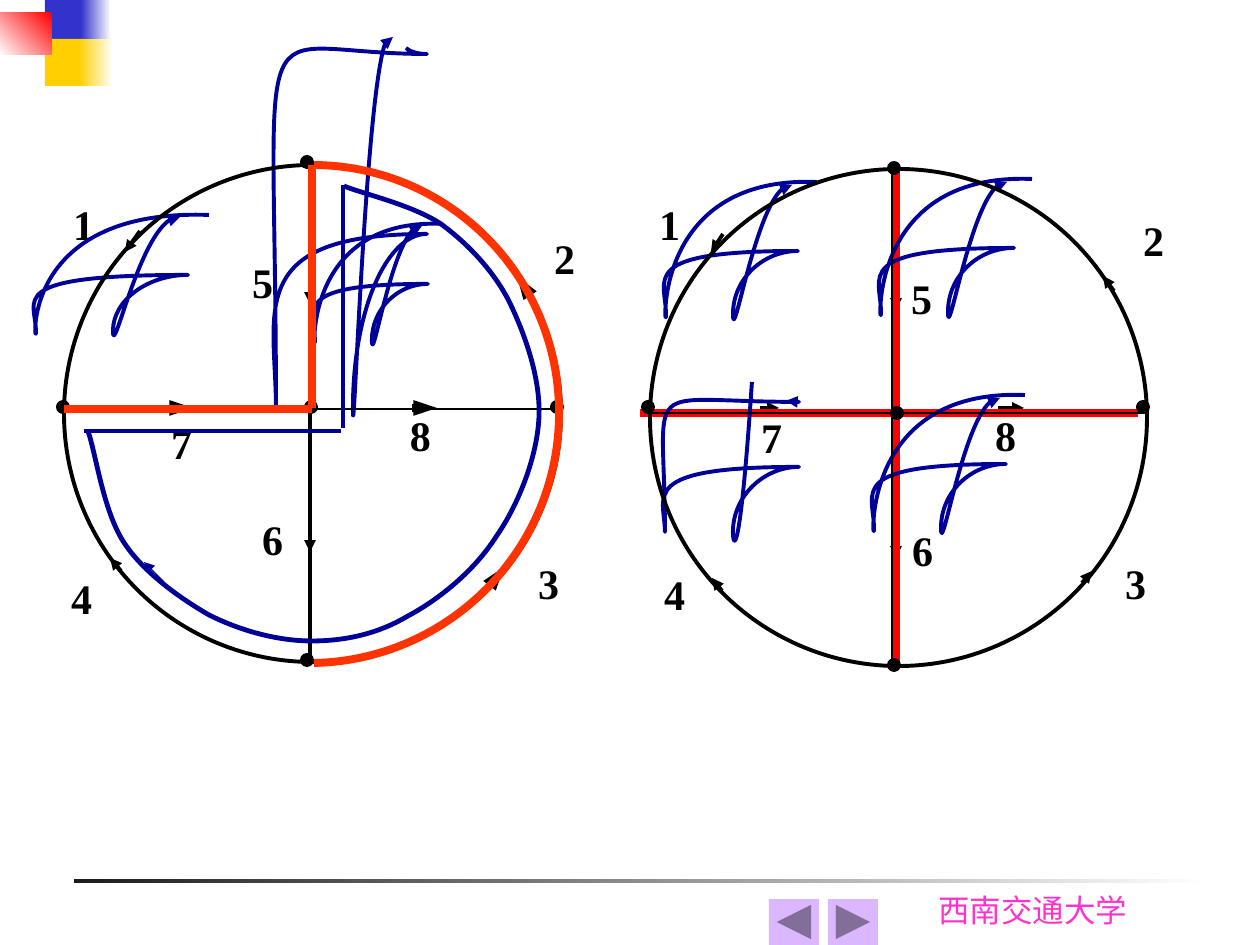
from lxml import etree
from pptx import Presentation
from pptx import util as u
from pptx.dml.color import RGBColor
from pptx.enum import shapes, text
from pptx.oxml import ns

PX = 914400 / 126
color = RGBColor.from_string
BLACK, NAVY, RED, ORANGE = "000000", "000099", "FF0000", "FF3300"

presentation = Presentation()
presentation.slide_width = round(1260 * PX)
presentation.slide_height = round(945 * PX)
slide = presentation.slides.add_slide(presentation.slide_layouts[6])


def emu(*lengths):
    return [round(length * PX) for length in lengths]


def draw(points, line_color, width, arrow=None, arrow_width="med"):
    """Two points give a straight line, more give a chain of Bezier curves."""
    if len(points) == 2:
        shape = slide.shapes.add_connector(
            shapes.MSO_CONNECTOR.STRAIGHT, *emu(*points[0], *points[1]))
    else:
        builder = slide.shapes.build_freeform(*points[0], scale=PX)
        builder.add_line_segments(points[1:], close=False)
        shape = builder.convert_to_shape()
        shape.fill.background()
        # Every three segments become one curve
        segments = list(shape._element.iter(ns.qn("a:lnTo")))
        for i in range(0, len(segments), 3):
            curve = etree.Element(ns.qn("a:cubicBezTo"))
            segments[i].addprevious(curve)
            for segment in segments[i:i + 3]:
                curve.append(segment[0])
                segment.getparent().remove(segment)
    shape.line.color.rgb = color(line_color)
    shape.line.width = u.Pt(width)
    properties = shape._element.spPr
    if arrow:
        etree.SubElement(properties.find(ns.qn("a:ln")), ns.qn(f"a:{arrow}"),
                         type="triangle", w=arrow_width, len="med")
    etree.SubElement(properties, ns.qn("a:effectLst"))


# Corner squares and footer rule: box, start colour, end colour, angle
for box, start, end, angle in [
    ((74, 879, 1134, 4), "1C1C1C", "FFFFFF", 0),
    ((45, 0, 40, 47), "3333CC", None, 0),
    ((81, 0, 30, 47), "3333CC", "FFFFFF", 0),
    ((45, 39, 39, 47), "FFCF01", None, 0),
    ((79, 39, 34, 47), "FFCF01", "FFFFFF", 0),
    ((0, 13, 52, 42), "FFFFFF", "FF0000", 45),
]:
    shape = slide.shapes.add_shape(shapes.MSO_SHAPE.RECTANGLE, *emu(*box))
    shape.shadow.inherit = False
    shape.line.fill.background()
    if end:
        shape.fill.gradient()
        shape.fill.gradient_angle = angle
        for stop, stop_color in zip(shape.fill.gradient_stops, (start, end)):
            stop.color.rgb = color(stop_color)
    else:
        shape.fill.solid()
        shape.fill.fore_color.rgb = color(start)

# Footer name
footer = slide.shapes.add_textbox(*emu(926, 885, 228, 50))
footer.text_frame.word_wrap = True
paragraph = footer.text_frame.paragraphs[0]
paragraph.text = "西南交通大学"
paragraph.font.size = u.Pt(18)
paragraph.font.name = "Karla"
paragraph.font.color.rgb = color("FF33CC")

# Loop hook as fractions of its box, placed once per mesh
HOOK = [(0.45, -0.52), (0.2, -0.54), (0, 0.76), (0, 0.5),
        (0, 0.22), (0.23, 0), (0.5, 0),
        (-0.74, 0), (-0.51, 0.22), (-0.51, 0.5),
        (-0.51, 0.73), (-0.66, -0.6), (0.64, -0.54)]
TALL_HOOK = [(393, 37), (368, 6), (353, 474), (353, 408),
             (353, 312), (386, 234), (427, 234),
             (242, 234), (276, 312), (276, 408),
             (276, -23), (242, 54), (427, 54),
             (420, 54), (412, 53), (406, 48)]
LOW_HOOK = [(752, 382), (740, 563), (733, 548), (733, 532),
            (733, 496), (764, 467), (799, 467),
            (636, 467), (665, 496), (665, 532),
            (665, 373), (636, 402), (799, 402),
            (795, 402), (790, 401), (786, 401)]

# Both graphs; labels and arrows run from branch 1 to 8
graphs = [
    dict(circle=(64, 165),
         labels=[(44, 197), (525, 231), (509, 556), (42, 571),
                 (223, 255), (233, 512), (142, 416), (381, 408)],
         arrows=[(140, 231, 125, 252, 2.25), (527, 291, 517, 276, 4.5),
                 (494, 580, 504, 567, 4.5), (121, 571, 110, 558, 2.25),
                 (310, 297, 310, 304, 2.25), (310, 529, 310, 552, 2.25),
                 (174, 408, 193, 408, 4.5), (412, 408, 437, 408, 4.5)],
         tree=[],
         hooks=[(372, 284, 111, 112), (113, 275, 150, 112)],
         odd_hook=(TALL_HOOK, "headEnd"),
         axes=[(310, 165, 310, 662, 2.25), (63, 409, 561, 409, 1.5)],
         dots=[(302, 157), (552, 402), (302, 655), (58, 402), (306, 402)]),
    dict(circle=(650, 169),
         labels=[(630, 197), (1114, 213), (1096, 556), (635, 567),
                 (882, 271), (883, 523), (732, 410), (966, 408)],
         arrows=[(723, 234, 711, 252, 2.25), (1114, 291, 1103, 276, 2.25),
                 (1082, 583, 1092, 571, 2.25), (722, 591, 712, 578, 2.25),
                 (896, 304, 896, 310, 2.25), (896, 534, 896, 558, 2.25),
                 (760, 408, 779, 408, 2.25), (998, 408, 1024, 408, 2.25)],
         tree=[(640, 413, 1138, 413), (896, 168, 896, 665)],
         hooks=[(941, 464, 131, 127), (948, 248, 131, 127),
                (733, 251, 131, 127)],
         odd_hook=(LOW_HOOK, "tailEnd"),
         axes=[(650, 413, 1147, 413, 1.5), (892, 170, 892, 668, 1.5)],
         dots=[(889, 163), (1138, 402), (889, 660), (643, 402), (892, 408)]),
]

for graph in graphs:
    # Branch numbers
    for number, corner in enumerate(graph["labels"], 1):
        label = slide.shapes.add_textbox(*emu(*corner, 79, 74))
        frame = label.text_frame
        frame.word_wrap = True
        frame.margin_left = frame.margin_right = u.Inches(0.01)
        frame.margin_top = frame.margin_bottom = u.Inches(0.01)
        paragraph = frame.paragraphs[0]
        paragraph.text = str(number)
        paragraph.alignment = text.PP_ALIGN.CENTER
        paragraph.font.size = u.Pt(24)
        paragraph.font.bold = True
        paragraph.font.name = "Times New Roman"
        paragraph.font.color.rgb = color(BLACK)

    # Branch directions and tree branches
    for x1, y1, x2, y2, width in graph["arrows"]:
        draw([(x1, y1), (x2, y2)], BLACK, width, "tailEnd",
             "sm" if width > 4 else "med")
    for x1, y1, x2, y2 in graph["tree"]:
        draw([(x1, y1), (x2, y2)], RED, 4.5)

    # Mesh hooks
    draw(graph["odd_hook"][0], NAVY, 2.25, graph["odd_hook"][1])
    for left, top, width, height in graph["hooks"]:
        draw([(round(left + x * width), round(top + y * height))
              for x, y in HOOK], NAVY, 2.25, "headEnd")

    # Axes, circle and nodes
    for x1, y1, x2, y2, width in graph["axes"]:
        draw([(x1, y1), (x2, y2)], BLACK, width)
    ovals = [(graph["circle"], 497)] + [(dot, 10) for dot in graph["dots"]]
    for corner, size in ovals:
        oval = slide.shapes.add_shape(
            shapes.MSO_SHAPE.OVAL, *emu(*corner, size, size))
        oval.shadow.inherit = False
        oval.line.color.rgb = color(BLACK)
        oval.line.width = u.Pt(2.25)
        if size == 10:
            oval.fill.solid()
            oval.fill.fore_color.rgb = color(BLACK)
        else:
            oval.fill.background()

# Back and forward buttons
for left, kind in [
    (769, shapes.MSO_SHAPE.ACTION_BUTTON_BACK_OR_PREVIOUS),
    (828, shapes.MSO_SHAPE.ACTION_BUTTON_FORWARD_OR_NEXT),
]:
    button = slide.shapes.add_shape(kind, *emu(left, 899, 50, 46))
    button.shadow.inherit = False
    button.fill.solid()
    button.fill.fore_color.rgb = color("DBB7FF")
    button.line.fill.background()

# Orange tree of the left graph
draw([(64, 409), (312, 409)], ORANGE, 4.5)
draw([(314, 165), (450, 166), (559, 277), (559, 413),
      (559, 549), (450, 660), (314, 663)], ORANGE, 4.5)
draw([(312, 408), (312, 165)], ORANGE, 4.5)

# Fundamental loop inside the left graph
draw([(341, 431), (84, 431)], NAVY, 2.75)
draw([(343, 428), (343, 185)], NAVY, 2.75)
draw([(344, 186), (360, 193), (413, 205), (441, 224),
      (467, 243), (493, 270), (509, 301), (525, 334), (541, 379), (539, 418),
      (537, 457), (519, 504), (496, 537), (475, 570), (440, 599), (408, 616),
      (378, 634), (345, 641), (312, 641), (278, 641), (241, 631), (209, 615),
      (178, 597), (142, 571), (123, 541), (103, 509), (96, 454), (88, 431)],
     NAVY, 2.75)
draw([(164, 582), (144, 562)], NAVY, 0.75, "tailEnd")

presentation.save("out.pptx")
